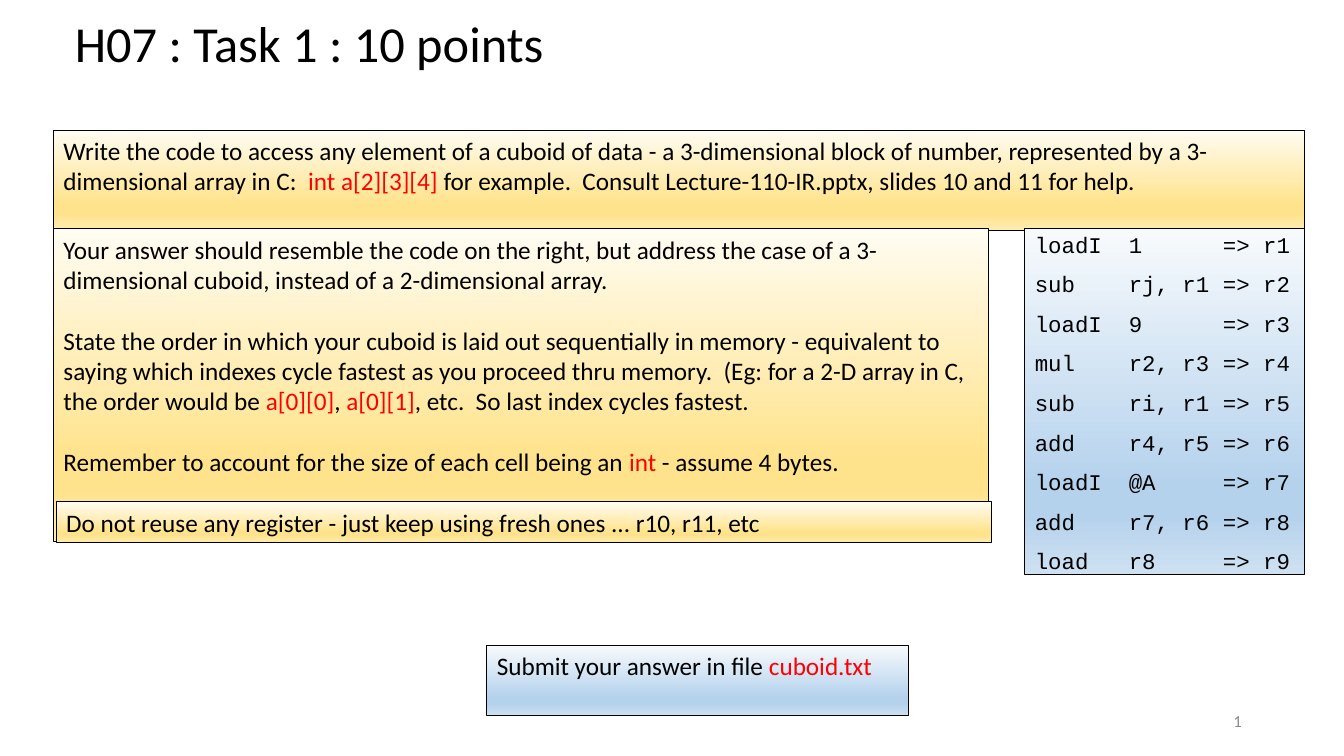
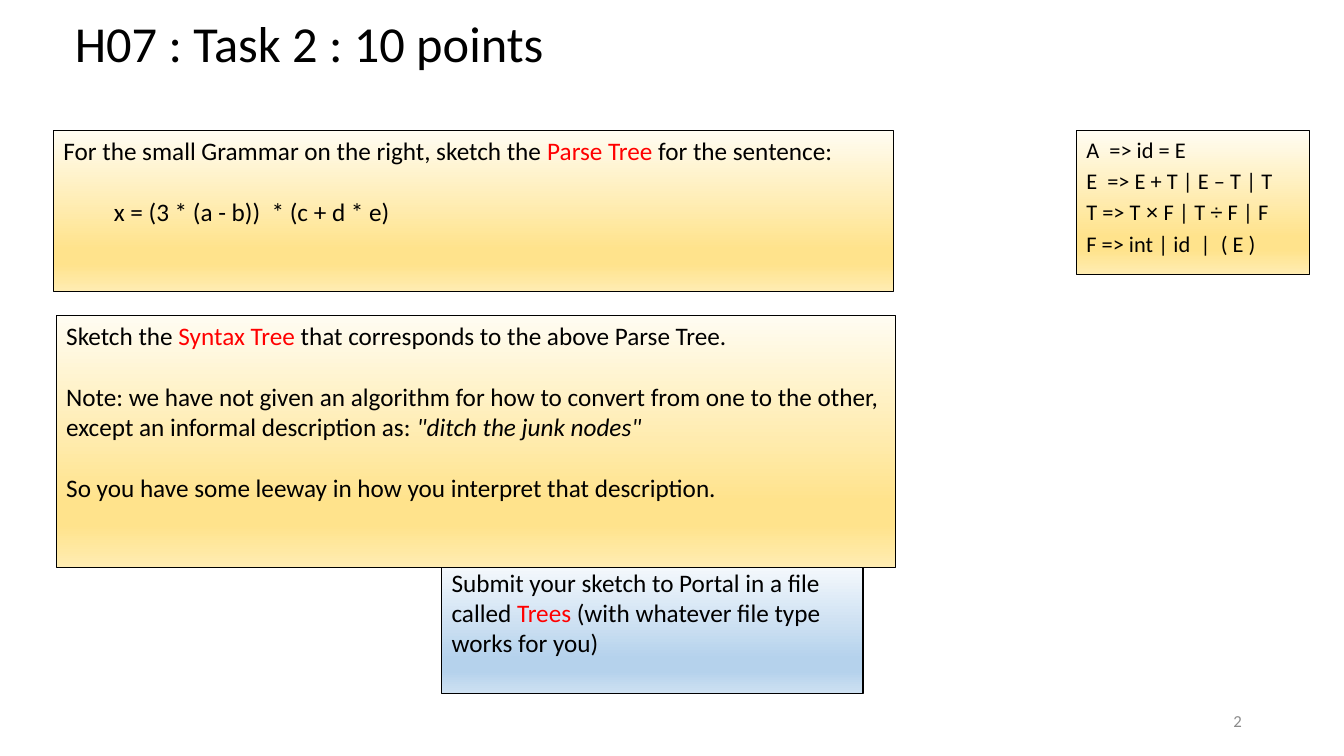
from lxml.etree import SubElement
from pptx import Presentation
from pptx.dml.color import RGBColor as RGB
from pptx.enum.shapes import MSO_SHAPE as SHAPE
from pptx.enum.text import MSO_ANCHOR as ANCHOR, MSO_AUTO_SIZE as AUTO, PP_ALIGN as ALIGN
from pptx.oxml.ns import qn
from pptx.util import Cm, Pt

COLORS = {"text": "000000", "red": "FF0000", "number": "8B8B8B", "line": "000000"}
GRADIENTS = {
    "gold": {0: "FFFCF2", 74: "FFE38C", 83: "FFE38C", 100: "FFECB2"},
    "blue": {0: "F7FAFD", 74: "B5D2EC", 83: "B5D2EC", 100: "CEE1F2"},
}
BODY, CODE, SYMBOL = "Calibri", "Courier New", "Arial"
LEFT, INSET_LEFT, TOP = 1.35, 1.42, 3.28
BLANK_LINE = 22
CODE_TABS = (2.37, 4.74)


def rgb(name):
    """Return the named colour."""
    return RGB.from_string(COLORS[name])


def add_runs(p, parts):
    """Add plain strings and (text, style) pairs as runs."""
    for part in parts:
        text, style = (part, None) if isinstance(part, str) else part
        r = p.add_run()
        r.text = text
        r.font.color.rgb = rgb("red" if style == "red" else "text")
        if style == "italic":
            r.font.italic = True
        if style == "symbol":
            r.font.name = SYMBOL


def set_tabs(p, stops):
    """Set left tab stops, in centimetres."""
    tabs = SubElement(p._p.get_or_add_pPr(), qn("a:tabLst"))
    for stop in stops:
        SubElement(tabs, qn("a:tab"), pos=str(Cm(stop)), algn="l")
    p._p.pPr.find(qn("a:defRPr")).addprevious(tabs)


def fill_gradient(sp, name):
    """Fill a shape from top to bottom with the named gradient."""
    sp.fill.gradient()
    sp.fill.gradient_angle = 270
    stops = sp.element.spPr.find(qn("a:gradFill")).find(qn("a:gsLst"))
    for stop in list(stops):
        stops.remove(stop)
    for percent, color in GRADIENTS[name].items():
        stop = SubElement(stops, qn("a:gs"), pos=str(percent * 1000))
        SubElement(stop, qn("a:srgbClr"), val=color)


def add_panel(s, box, gradient, paragraphs, font=BODY, size=18,
              gap=BLANK_LINE, spacing=None, tabs=(), indents=None):
    """Draw a framed gradient panel with its paragraphs."""
    sp = s.shapes.add_shape(SHAPE.RECTANGLE, *map(Cm, box))
    sp.shadow.inherit = False
    fill_gradient(sp, gradient)
    sp.line.color.rgb = rgb("line")
    sp.line.width = Pt(0.75)
    tf = sp.text_frame
    tf.word_wrap = True
    tf.vertical_anchor = ANCHOR.TOP
    for i, parts in enumerate(paragraphs):
        p = tf.add_paragraph() if i else tf.paragraphs[0]
        p.alignment = ALIGN.LEFT
        p.font.name, p.font.size = font, Pt(size)
        if i:
            p.space_before = Pt(gap)
        if spacing:
            p.line_spacing = spacing
        if tabs:
            set_tabs(p, tabs)
        if indents and i in indents:
            p._p.get_or_add_pPr().set("marL", str(Cm(indents[i])))
        add_runs(p, parts)


def add_number(s, box, number):
    """Add the slide number field."""
    tf = s.shapes.add_textbox(*map(Cm, box)).text_frame
    tf.word_wrap = True
    tf.vertical_anchor = ANCHOR.MIDDLE
    p = tf.paragraphs[0]
    p.alignment = ALIGN.RIGHT
    field = SubElement(p._p, qn("a:fld"), type="slidenum",
                       id="{B6F15528-21DE-4FAA-801E-634DDDAF4B2B}")
    props = SubElement(field, qn("a:rPr"), lang="en-US", sz="1200")
    fill = SubElement(props, qn("a:solidFill"))
    SubElement(fill, qn("a:srgbClr"), val=COLORS["number"])
    SubElement(props, qn("a:latin"), typeface=BODY)
    SubElement(field, qn("a:t")).text = str(number)


def add_task(prs, number):
    """Add a slide with the task title and slide number."""
    s = prs.slides.add_slide(prs.slide_layouts[5])
    title = s.shapes.title
    title.left, title.top, title.width, title.height = map(Cm, (1.63, 0.18, 28.93, 1.78))
    tf = title.text_frame
    tf.text = f"H07 : Task {number} : 10 points"
    tf.auto_size = AUTO.NONE
    tf.word_wrap = True
    tf.vertical_anchor = ANCHOR.TOP
    p = tf.paragraphs[0]
    p.alignment = ALIGN.LEFT
    p.font.name, p.font.size = BODY, Pt(36)
    p.font.color.rgb = rgb("text")
    add_number(s, (23.93, 17.65, 7.62, 1.02), number)
    return s


def add_code(s, box):
    """Draw the sample code, aligned in three columns."""
    rows = [
        ("loadI", "1", "r1"), ("sub", "rj, r1", "r2"), ("loadI", "9", "r3"),
        ("mul", "r2, r3", "r4"), ("sub", "ri, r1", "r5"), ("add", "r4, r5", "r6"),
        ("loadI", "@A", "r7"), ("add", "r7, r6", "r8"), ("load", "r8", "r9"),
    ]
    lines = [[f"{op}\t{args}\t=> {target}"] for op, args, target in rows]
    add_panel(s, box, "blue", lines, CODE, 16, gap=11, spacing=0.9, tabs=CODE_TABS)


def add_grammar(s, box):
    """Draw the expression grammar."""
    rules = [
        ["A  => id = E"],
        ["E  => E + T | E – T | T"],
        ["T => T ", ("×", "symbol"), " F | T ", ("÷", "symbol"), " F | F"],
        ["F => int | id  |  ( E )"],
    ]
    add_panel(s, box, "gold", rules, size=16, gap=3.2)


def cuboid_slide(prs):
    """Build the task about array access."""
    s = add_task(prs, 1)
    add_panel(s, (LEFT, TOP, 31.52, 2.54), "gold", [[
        "Write the code to access any element of a cuboid of data - a 3-dimensional block "
        "of number, represented by a 3-dimensional array in C:  ",
        ("int a[2][3][4]", "red"),
        " for example.  Consult Lecture-110-IR.pptx, slides 10 and 11 for help."]])
    add_code(s, (25.83, 5.77, 7.04, 8.71))
    add_panel(s, (LEFT, 5.77, 23.57, 7.87), "gold", [
        ["Your answer should resemble the code on the right, but address the case of a "
         "3-dimensional cuboid, instead of a 2-dimensional array."],
        ["State the order in which your cuboid is laid out sequentially in memory - "
         "equivalent to saying which indexes cycle fastest as you proceed thru memory.  "
         "(Eg: for a 2-D array in C, the order would be ",
         ("a[0][0]", "red"), ", ", ("a[0][1]", "red"),
         ", etc.  So last index cycles fastest."],
        ["Remember to account for the size of each cell being an ",
         ("int", "red"), " - assume 4 bytes."]])
    add_panel(s, (12.27, 16.26, 10.62, 1.78), "blue", [
        ["Submit your answer in file ", ("cuboid.txt", "red")]])
    add_panel(s, (INSET_LEFT, 12.65, 23.57, 1.02), "gold", [
        ["Do not reuse any register - just keep using fresh ones ... r10, r11, etc"]])


def trees_slide(prs):
    """Build the task about parse and syntax trees."""
    s = add_task(prs, 2)
    add_panel(s, (LEFT, TOP, 21.16, 4.06), "gold", [
        ["For the small Grammar on the right, sketch the ",
         ("Parse Tree", "red"), " for the sentence:"],
        ["x = (3 * (a - b))  * (c + d * e)"]], indents={1: 1.27})
    add_panel(s, (11.13, 14.17, 10.62, 3.3), "blue", [
        ["Submit your sketch to Portal in a file called ",
         ("Trees", "red"), " (with whatever file type works for you)"]])
    add_grammar(s, (27.13, 3.3, 5.87, 3.61))
    add_panel(s, (INSET_LEFT, 7.95, 21.16, 6.35), "gold", [
        ["Sketch the ", ("Syntax Tree", "red"),
         " that corresponds to the above Parse Tree."],
        ["Note: we have not given an algorithm for how to convert from one to the other, "
         "except an informal description as: ", ('"ditch the junk nodes"', "italic")],
        ["So you have some leeway in how you interpret that description."]])


def main():
    """Build and save the presentation."""
    prs = Presentation()
    prs.slide_width, prs.slide_height = Cm(33.87), Cm(19.05)
    cuboid_slide(prs)
    trees_slide(prs)
    prs.save("out.pptx")


if __name__ == "__main__":
    main()
